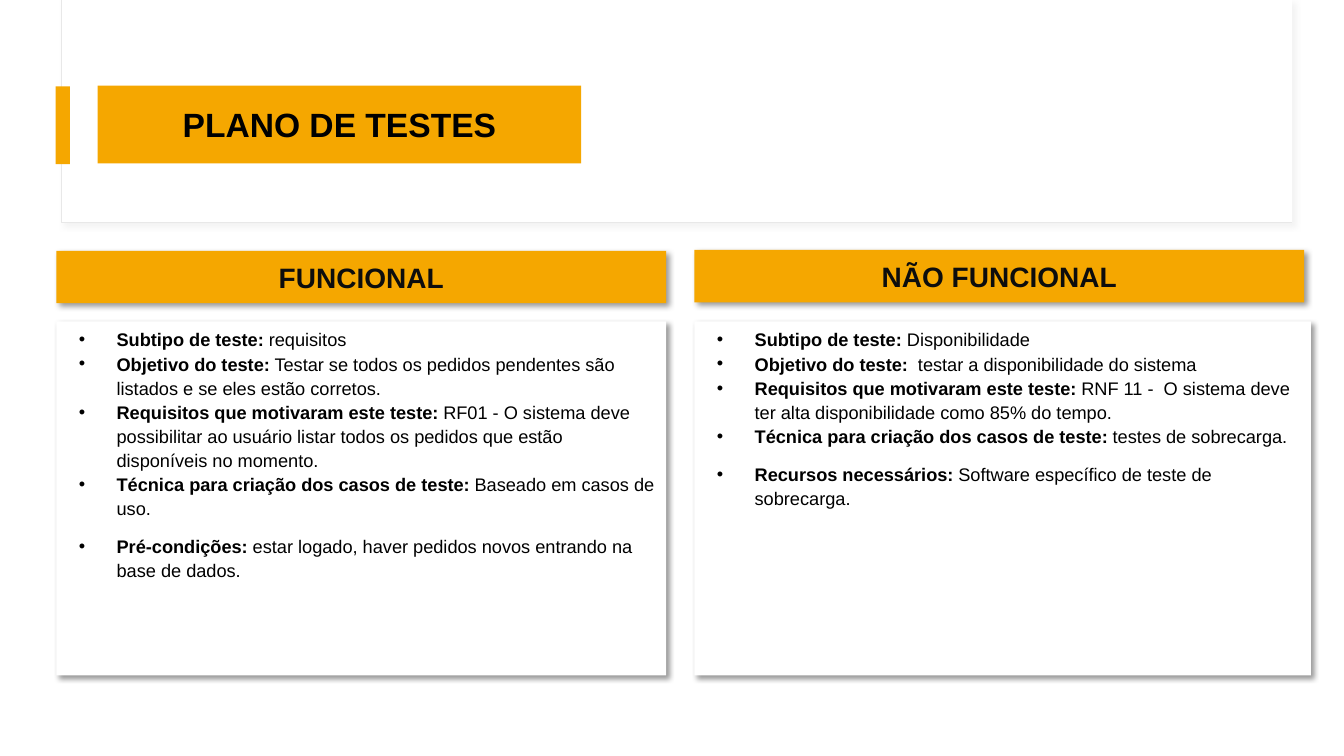
import pptx
import pptx.util
import pptx.dml.color
import pptx.enum.shapes
import pptx.enum.text
import pptx.oxml
import pptx.oxml.ns

Cm = pptx.util.Cm
Pt = pptx.util.Pt
ALIGN = pptx.enum.text.PP_ALIGN
ANCHOR = pptx.enum.text.MSO_ANCHOR
COLORS = {
    "gold": "F5A700",
    "white": "FFFFFF",
    "black": "000000",
    "ink": "0D0D0D",
    "edge": "E8E8E8",
    "haze": "D8D8D8",
}
FRAME = {
    "word_wrap": True,
    "margin_left": Cm(0.25),
    "margin_right": Cm(0.25),
    "margin_top": Cm(0.13),
    "margin_bottom": Cm(0.13),
}
HEAD = {"size": Pt(20), "bold": True, "name": "Arial"}
TITLE = {"size": Pt(24), "bold": True, "name": "Arial"}
BODY = {"size": Pt(13), "name": "Arial"}

LEFT = [
    ("Subtipo de teste:", " requisitos"),
    ("Objetivo do teste:", " Testar se todos os pedidos pendentes são listados e se eles estão corretos."),
    ("Requisitos que motivaram este teste:", " RF01 - O sistema deve possibilitar ao usuário listar todos os pedidos que estão disponíveis no momento."),
    ("Técnica para criação dos casos de teste:", " Baseado em casos de uso."),
    ("Pré-condições: ", "estar logado, haver pedidos novos entrando na base de dados."),
]
RIGHT = [
    ("Subtipo de teste: ", "Disponibilidade"),
    ("Objetivo do teste:", "  testar a disponibilidade do sistema"),
    ("Requisitos que motivaram este teste:", " RNF 11 -  O sistema deve ter alta disponibilidade como 85% do tempo."),
    ("Técnica para criação dos casos de teste:", " testes de sobrecarga."),
    ("Recursos necessários: ", "Software específico de teste de sobrecarga."),
]


def color(name):
    return pptx.dml.color.RGBColor.from_string(COLORS[name])


def apply(target, values):
    for key, value in values.items():
        setattr(target, key, value)


def add_xml(parent, tag, inner="", **attrs):
    text = " ".join(f'{key}="{value}"' for key, value in attrs.items())
    space = pptx.oxml.ns.nsdecls("a")
    parent.append(pptx.oxml.parse_xml(f"<a:{tag} {space} {text}>{inner}</a:{tag}>"))


def add_shade(shape, tint, alpha):
    effects = shape._element.spPr.find(pptx.oxml.ns.qn("a:effectLst"))
    inner = f'<a:srgbClr val="{COLORS[tint]}"><a:alpha val="{alpha * 1000}"/></a:srgbClr>'
    add_xml(effects, "outerShdw", inner, blurRad=Pt(4), dist=Pt(3),
            dir=45 * 60000, algn="tl", rotWithShape=0)


def add_rect(slide, box, fill, line=None, shade=None):
    kind = pptx.enum.shapes.MSO_SHAPE.RECTANGLE
    shape = slide.shapes.add_shape(kind, *map(Cm, box))
    shape.shadow.inherit = False
    shape.fill.solid()
    shape.fill.fore_color.rgb = color(fill)
    if line:
        shape.line.color.rgb = color(line)
        shape.line.width = Pt(0.75)
    else:
        shape.line.fill.background()
    if shade:
        add_shade(shape, *shade)
    return shape


def add_label(shape, text, style, tint, anchor, space=1.0):
    frame = shape.text_frame
    apply(frame, FRAME)
    frame.vertical_anchor = anchor
    para = frame.paragraphs[0]
    apply(para, {"alignment": ALIGN.CENTER, "line_spacing": space})
    run = para.add_run()
    run.text = text
    apply(run.font, style)
    run.font.color.rgb = color(tint)


def add_item(para, parts):
    props = para._p.get_or_add_pPr()
    props.set("marL", str(Cm(1.27)))
    props.set("indent", str(-Cm(0.95)))
    add_xml(props, "buClr", f'<a:srgbClr val="{COLORS["black"]}"/>')
    add_xml(props, "buFont", typeface="Arial")
    add_xml(props, "buChar", char="•")
    apply(para, {"alignment": ALIGN.LEFT, "line_spacing": 1.1})
    for text, bold in zip(parts, (True, False)):
        run = para.add_run()
        run.text = text
        apply(run.font, {**BODY, "bold": bold})
        run.font.color.rgb = color("black")


def add_panel(slide, left, top, width, head, items):
    shade = ("black", 40)
    bar = add_rect(slide, (left, top, 15.37, 1.32), "gold", shade=shade)
    add_label(bar, head, HEAD, "ink", ANCHOR.MIDDLE)
    panel = add_rect(slide, (left, 8.1, width, 8.92), "white", shade=shade)
    frame = panel.text_frame
    apply(frame, {**FRAME, "vertical_anchor": ANCHOR.TOP})
    for index, parts in enumerate(items):
        para = frame.add_paragraph() if index else frame.paragraphs[0]
        add_item(para, parts)
    para.space_before = Pt(10)


def add_title(slide, text):
    add_rect(slide, (2.46, 2.16, 12.19, 1.96), "gold")
    box = slide.shapes.add_textbox(*map(Cm, (2.46, 2.31, 12.19, 1.47)))
    add_label(box, text, TITLE, "black", ANCHOR.BOTTOM, 0.9)


def main():
    deck = pptx.Presentation()
    apply(deck, {"slide_width": Cm(33.87), "slide_height": Cm(19.05)})
    slide = deck.slides.add_slide(deck.slide_layouts[6])
    add_rect(slide, (1.55, 0, 31.01, 5.61), "white", "edge", ("haze", 30))
    add_rect(slide, (1.57, 0, 30.99, 5.59), "white")
    add_rect(slide, (1.4, 2.18, 0.36, 1.96), "gold")
    add_panel(slide, 1.42, 6.32, 15.37, "FUNCIONAL", LEFT)
    add_panel(slide, 17.5, 6.3, 15.54, "NÃO FUNCIONAL", RIGHT)
    add_title(slide, "PLANO DE TESTES")
    deck.save("out.pptx")


if __name__ == "__main__":
    main()
